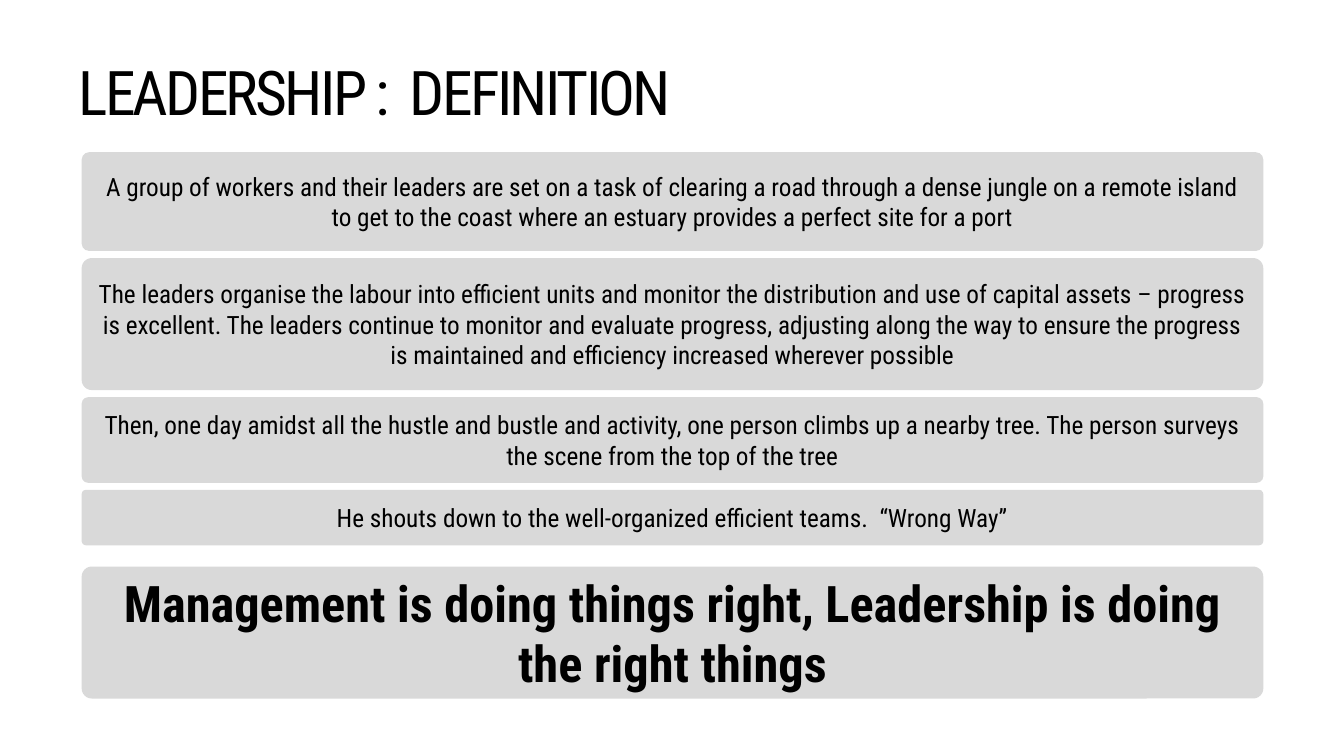
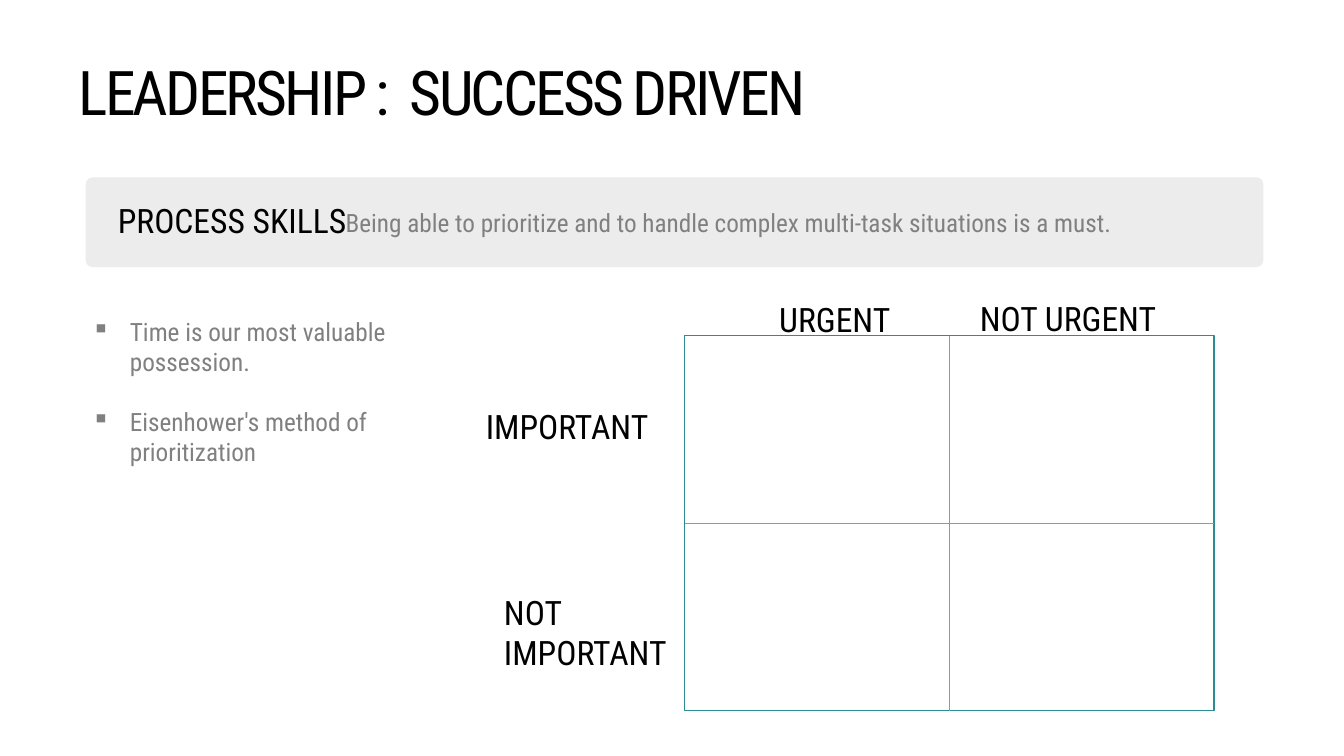
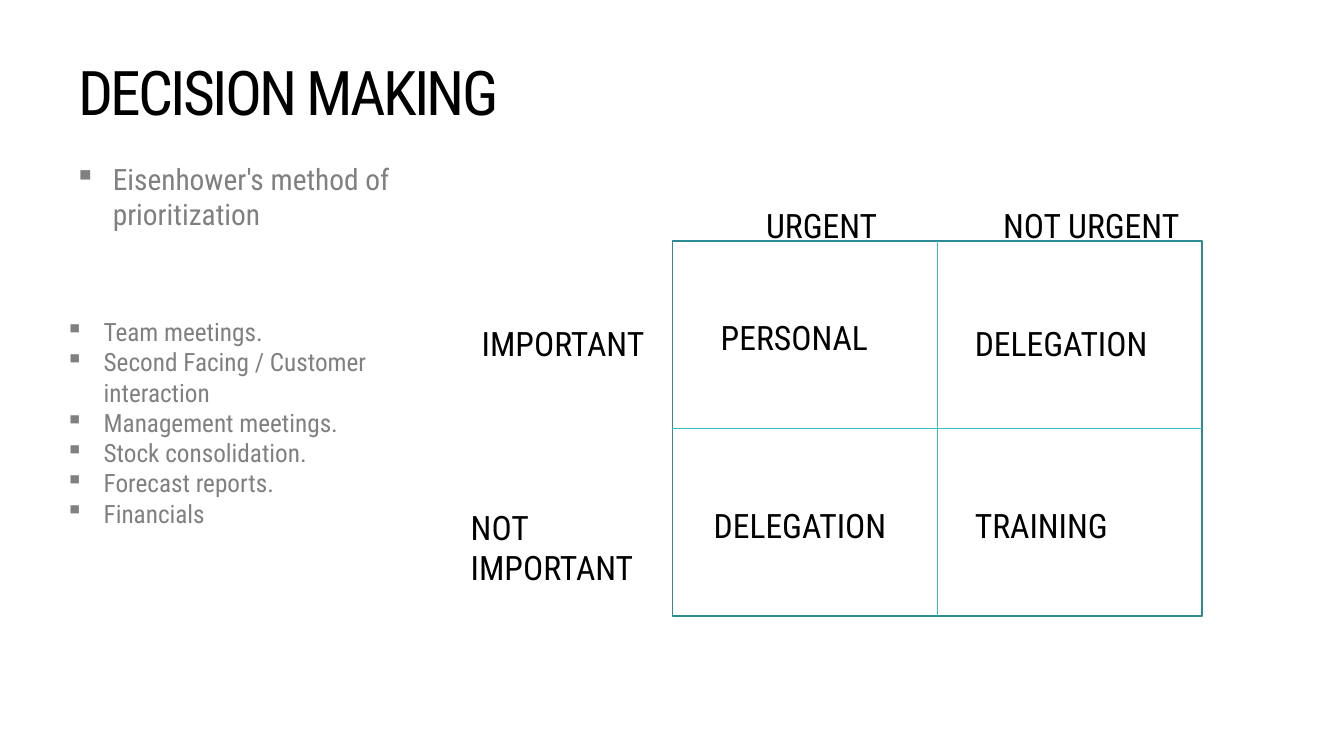
from lxml.etree import SubElement
from pptx import Presentation
from pptx.dml.color import RGBColor
from pptx.enum.shapes import MSO_CONNECTOR, MSO_SHAPE
from pptx.enum.text import MSO_ANCHOR, MSO_AUTO_SIZE, PP_ALIGN
from pptx.oxml.ns import qn
from pptx.util import Inches, Pt

FONT = "Roboto Condensed"
BLACK, GREY, CARD = "000000", "808080", "D9D9D9"
FRAME, DIVIDER = "2C8C91", "3CBDC4"
CARD_LEFT, CARD_WIDTH, CARD_GAP = 0.81, 11.72, 0.07
GRID_WIDTH, GRID_HEIGHT = 5.25, 3.72


def rgb(value):
    return RGBColor.from_string(value)


def add_bullet(paragraph):
    """Give the paragraph a square bullet with a hanging indent."""
    properties = paragraph._p.get_or_add_pPr()
    properties.set("marL", str(Inches(0.38)))
    properties.set("indent", str(-Inches(0.38)))
    SubElement(properties, qn("a:buChar"), char="▪")


def write(frame, *lines, size=24, color=BLACK, bold=False, align=PP_ALIGN.LEFT,
          anchor=MSO_ANCHOR.TOP, fit=MSO_AUTO_SIZE.NONE, bullets=False,
          gap=0, line_spacing=1, tracking=0):
    """Fill a text frame with one paragraph per line; tracking is in points."""
    frame.word_wrap = True
    frame.auto_size = fit
    frame.vertical_anchor = anchor
    for index, line in enumerate(lines):
        paragraph = frame.add_paragraph() if index else frame.paragraphs[0]
        if bullets:
            add_bullet(paragraph)
        paragraph.alignment = align
        paragraph.line_spacing = line_spacing
        if index and gap:
            paragraph.space_before = Pt(gap)
        run = paragraph.add_run()
        run.text = line
        run.font.name = FONT
        run.font.size = Pt(size)
        run.font.bold = bold
        run.font.color.rgb = rgb(color)
        if tracking:
            run._r.get_or_add_rPr().set("spc", str(round(tracking * 100)))


def add_text(slide, left, top, width, height, *lines, **style):
    box = slide.shapes.add_textbox(Inches(left), Inches(top), Inches(width), Inches(height))
    write(box.text_frame, *lines, **style)


def add_label(slide, left, top, width, text, height=0.5):
    add_text(slide, left, top, width, height, text, fit=MSO_AUTO_SIZE.SHAPE_TO_FIT_TEXT)


def add_card(slide, left, top, width, height, color, opacity=None):
    card = slide.shapes.add_shape(MSO_SHAPE.ROUNDED_RECTANGLE, Inches(left), Inches(top),
                                  Inches(width), Inches(height))
    card.adjustments[0] = 0.077
    card.shadow.inherit = False
    card.fill.solid()
    card.fill.fore_color.rgb = rgb(color)
    card.line.fill.background()
    if opacity is not None:
        fill_color = card._element.spPr.find(qn("a:solidFill"))[0]
        SubElement(fill_color, qn("a:alpha"), val=str(opacity * 1000))
    return card


def add_story_card(slide, top, height, text, **style):
    card = add_card(slide, CARD_LEFT, top, CARD_WIDTH, height, CARD)
    write(card.text_frame, text, align=PP_ALIGN.CENTER, anchor=MSO_ANCHOR.MIDDLE, **style)


def add_matrix(slide, left, top, labels):
    """Draw a two by two grid and its labels, given as (left, top, width, text, ...)."""
    frame = slide.shapes.add_shape(MSO_SHAPE.RECTANGLE, Inches(left), Inches(top),
                                   Inches(GRID_WIDTH), Inches(GRID_HEIGHT))
    frame.shadow.inherit = False
    frame.fill.background()
    frame.line.color.rgb = rgb(FRAME)
    frame.line.width = Pt(1)
    for start, end in ((0, 2), (1, 3)):
        divider = slide.shapes.add_connector(MSO_CONNECTOR.STRAIGHT, 0, 0, 0, 0)
        divider.begin_connect(frame, start)
        divider.end_connect(frame, end)
        divider.line.color.rgb = rgb(DIVIDER)
        divider.line.width = Pt(0.5)
        SubElement(divider._element.spPr, qn("a:effectLst"))
    for label in labels:
        add_label(slide, *label)


def add_titled_slide(presentation, text):
    slide = presentation.slides.add_slide(presentation.slide_layouts[5])
    title = slide.shapes.title
    title.left, title.top = Inches(0.68), Inches(0.22)
    title.width, title.height = Inches(11.5), Inches(1.45)
    write(title.text_frame, text, size=44, anchor=MSO_ANCHOR.MIDDLE,
          line_spacing=0.9, tracking=-2)
    return slide


def build_definition(presentation):
    slide = add_titled_slide(presentation, "LEADERSHIP :  DEFINITION")
    story = (
        (0.98, "A group of workers and their leaders are set on a task of clearing a road "
               "through a dense jungle on a remote island to get to the coast where an estuary "
               "provides a perfect site for a port"),
        (1.31, "The leaders organise the labour into efficient units and monitor the "
               "distribution and use of capital assets – progress is excellent. The leaders "
               "continue to monitor and evaluate progress, adjusting along the way to ensure "
               "the progress is maintained and efficiency increased wherever possible"),
        (0.85, "Then, one day amidst all the hustle and bustle and activity, one person climbs "
               "up a nearby tree. The person surveys the scene from the top of the tree"),
        (0.55, "He shouts down to the well-organized efficient teams.  “Wrong Way”"),
    )
    top = 1.51
    for height, text in story:
        add_story_card(slide, top, height, text, size=18)
        top += height + CARD_GAP
    add_story_card(slide, 5.62, 1.31, "Management is doing things right, Leadership is doing "
                   "the right things", size=36, bold=True)


def build_success(presentation):
    slide = add_titled_slide(presentation, "LEADERSHIP :  SUCCESS DRIVEN")
    add_card(slide, 0.85, 1.76, 11.68, 0.89, GREY, opacity=15)
    add_text(slide, 3.33, 1.84, 8.58, 0.74, "Being able to prioritize and to handle complex "
             "multi-task situations is a must.", size=18, color=GREY, anchor=MSO_ANCHOR.MIDDLE)
    add_text(slide, 1.07, 1.98, 2.58, 0.4, "PROCESS SKILLS", anchor=MSO_ANCHOR.MIDDLE)
    add_text(slide, 0.81, 3.09, 3.91, 4.41, "Time is our most valuable possession.",
             "Eisenhower's method of prioritization", size=18, color=GREY, bullets=True, gap=21)
    add_matrix(slide, 6.79, 3.33, (
        (7.63, 2.92, 1.51, "URGENT"),
        (9.62, 2.91, 2.21, "NOT URGENT"),
        (4.72, 3.98, 1.89, "IMPORTANT"),
        (4.9, 5.82, 1.89, "NOT IMPORTANT", 0.91),
    ))


def build_decisions(presentation):
    slide = add_titled_slide(presentation, "DECISION MAKING")
    add_text(slide, 0.64, 1.55, 3.91, 4.41, "Eisenhower's method of prioritization",
             size=21, color=GREY, bullets=True)
    add_text(slide, 0.55, 3.09, 3.72, 2.68, "Team meetings.",
             "Second Facing / Customer interaction", "Management meetings.",
             "Stock consolidation.", "Forecast reports.", "Financials",
             size=18, color=GREY, bullets=True)
    add_matrix(slide, 6.67, 2.39, (
        (7.5, 1.98, 1.51, "URGENT"),
        (9.85, 1.98, 2.12, "NOT URGENT"),
        (4.68, 3.15, 1.94, "IMPORTANT"),
        (4.57, 4.98, 2.09, "NOT IMPORTANT", 0.91),
        (7.05, 3.09, 2.01, "PERSONAL"),
        (9.57, 3.15, 2.01, "DELEGATION"),
        (6.98, 4.96, 2.01, "DELEGATION"),
        (9.57, 4.96, 2.01, "TRAINING"),
    ))


def main():
    presentation = Presentation()
    presentation.slide_width, presentation.slide_height = Inches(13.33), Inches(7.5)
    build_definition(presentation)
    build_success(presentation)
    build_decisions(presentation)
    presentation.save("out.pptx")


if __name__ == "__main__":
    main()
